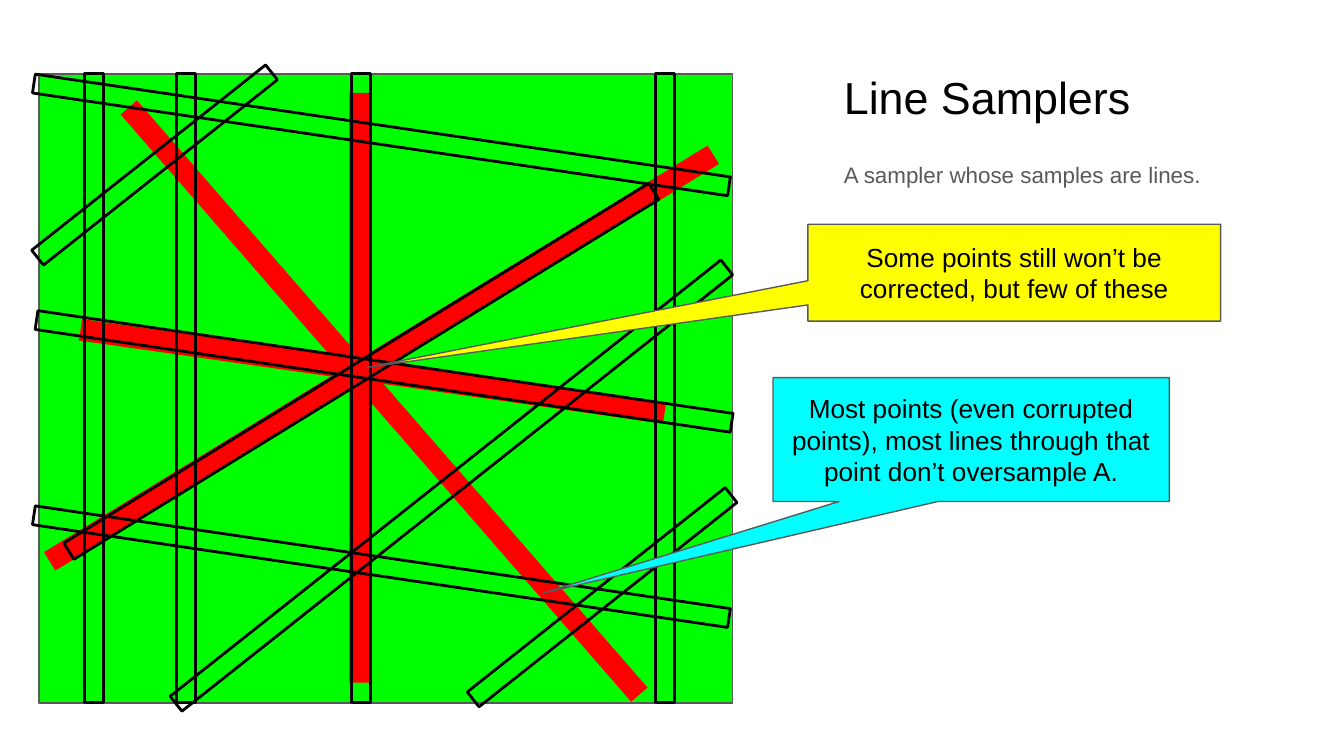
from pptx import Presentation
from pptx import util as u
from pptx.dml.color import RGBColor
from pptx.enum import shapes, text

HUES = {
    "ink": "000000",
    "grey": "595959",
    "field": "00FF00",
    "bad": "FF0000",
    "most": "00FFFF",
    "few": "FFFF00",
}


class Deck:
    """Holds the style and the current slide, and draws each kind of element."""

    def __init__(self):
        self.prs = Presentation()
        self.prs.slide_width = u.Cm(25.4)
        self.prs.slide_height = u.Cm(14.29)
        self.slide = self.prs.slides.add_slide(self.prs.slide_layouts[6])
        self.font = "Arial"
        self.inset = u.Cm(0.25)

    def hue(self, name):
        return RGBColor.from_string(HUES[name])

    def shape(self, home, kind, box, fill=None, edge=None, width=0.75):
        item = home.add_shape(kind, *map(u.Cm, box))
        item.shadow.inherit = False
        if fill:
            item.fill.solid()
            item.fill.fore_color.rgb = self.hue(fill)
        else:
            item.fill.background()
        if edge:
            item.line.color.rgb = self.hue(edge)
            item.line.width = u.Pt(width)
        else:
            item.line.fill.background()
        return item

    def words(self, frame, line, size, tone, anchor, align):
        frame.word_wrap = True
        frame.vertical_anchor = anchor
        frame.margin_left = frame.margin_right = self.inset
        frame.margin_top = frame.margin_bottom = self.inset
        para = frame.paragraphs[0]
        para.alignment = align
        run = para.add_run()
        run.text = line
        run.font.name = self.font
        run.font.size = u.Pt(size)
        run.font.color.rgb = self.hue(tone)
        return para

    def label(self, box, line, size, tone, anchor):
        item = self.slide.shapes.add_textbox(*map(u.Cm, box))
        return self.words(item.text_frame, line, size, tone, anchor, text.PP_ALIGN.LEFT)

    def square(self, box):
        self.shape(self.slide.shapes, shapes.MSO_SHAPE.RECTANGLE, box, "field", "grey")

    def bars(self, rows, thick, **look):
        group = self.slide.shapes.add_group_shape()
        for x, y, size, turn in rows:
            box = (x - thick / 2, y - size / 2, thick, size)
            bar = self.shape(group.shapes, shapes.MSO_SHAPE.RECTANGLE, box, **look)
            bar.rotation = turn

    def callout(self, box, tip, fill, line):
        kind = shapes.MSO_SHAPE.RECTANGULAR_CALLOUT
        item = self.shape(self.slide.shapes, kind, box, fill, "grey")
        item.adjustments[0], item.adjustments[1] = tip
        self.words(item.text_frame, line, 14, "ink",
                   text.MSO_ANCHOR.MIDDLE, text.PP_ALIGN.CENTER)


def main():
    deck = Deck()
    deck.label((15.7, 0.48, 7.8, 2.11), "Line Samplers", 24, "ink", text.MSO_ANCHOR.BOTTOM)
    para = deck.label((15.7, 2.72, 7.8, 1.32), "A sampler whose samples are lines.",
                      12, "grey", text.MSO_ANCHOR.TOP)
    para.line_spacing = 1.15
    para.space_after = u.Pt(12)

    deck.square((0.74, 1.4, 13.11, 11.89))
    deck.bars([
        (6.81, 7.33, 11.15, 0),
        (7.21, 6.77, 14.71, 58.5),
        (7.26, 7.58, 14.71, 319),
        (7.04, 7.02, 11.15, 98.1),
    ], 0.41, fill="bad")

    upright = [(x, 7.34, 11.89, 0) for x in (1.78, 3.51, 6.83, 12.57)]
    rising = [(x, y, size, 51.6) for x, y, size in (
        (11.38, 11.29, 6.22), (8.53, 9.18, 13.28), (2.92, 3.12, 5.64))]
    steep = [(6.83, 7.02, 12.98, 58.4)]
    falling = [(x, y, 13.28, 278.4) for x, y in (
        (7.26, 7.02), (7.21, 10.71), (7.21, 2.55))]
    deck.bars(upright + rising + steep + falling, 0.36, edge="ink", width=1.5)

    deck.callout((14.61, 7.14, 7.49, 2.34), (-1.08, 1.24), "most",
                 "Most points (even corrupted points), most lines through that "
                 "point don’t oversample A.")
    deck.callout((15.27, 4.24, 7.8, 1.83), (-1.57, 0.98), "few",
                 "Some points still won’t be corrected, but few of these")
    deck.prs.save("out.pptx")


if __name__ == "__main__":
    main()
